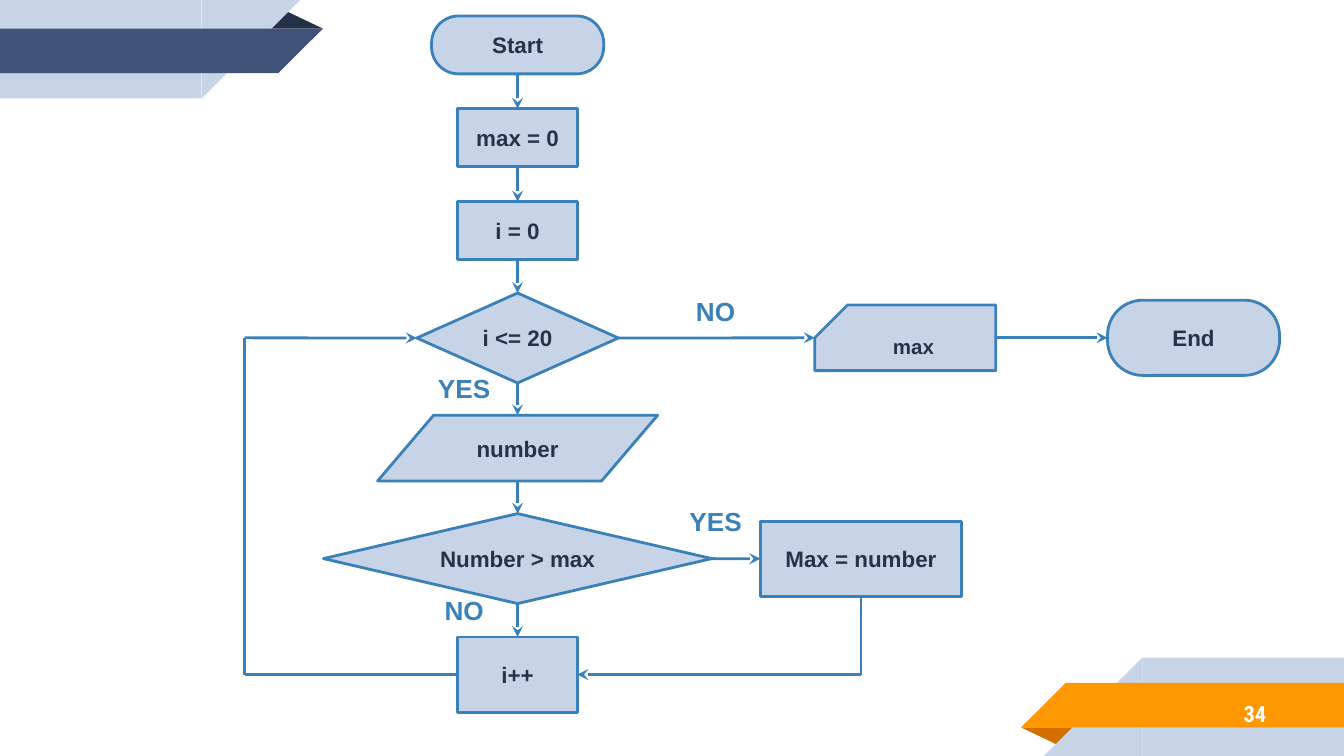
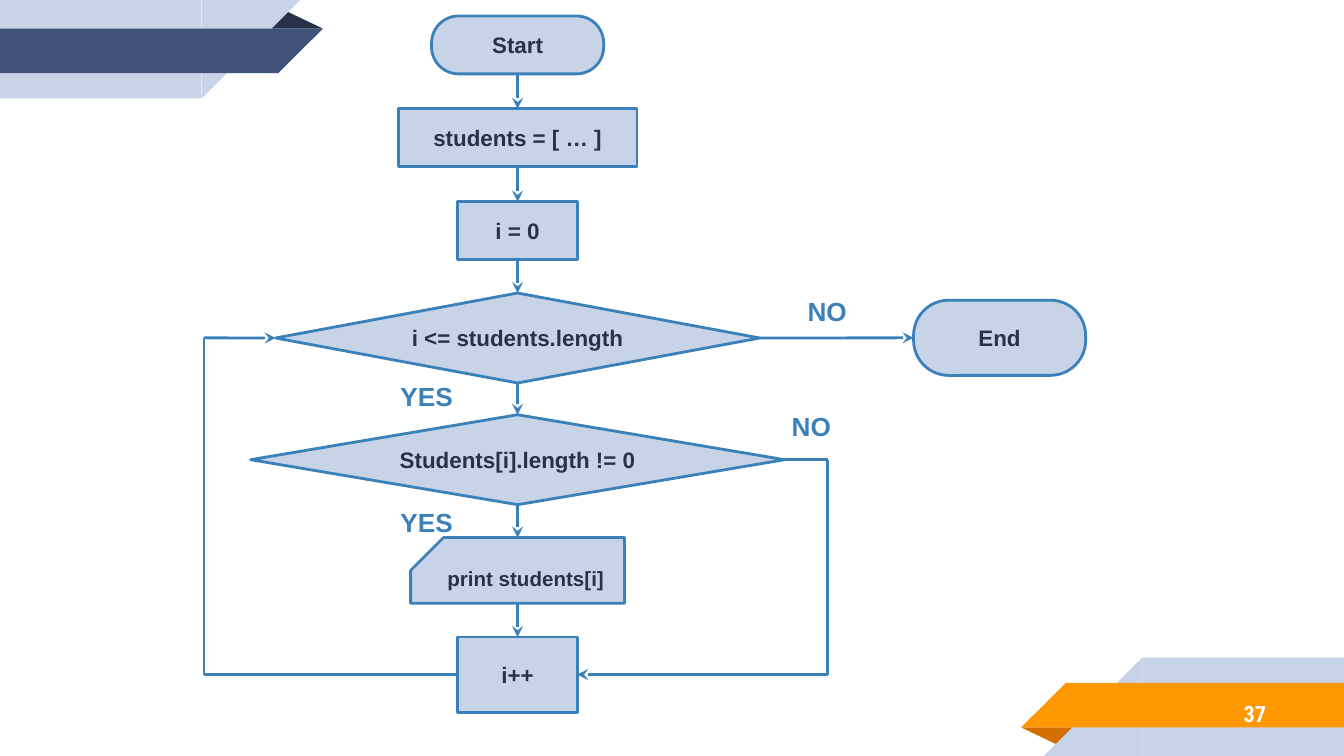
import itertools
from dataclasses import dataclass

import pptx
import pptx.dml.color
import pptx.enum.shapes
import pptx.enum.text
import pptx.oxml.ns
import pptx.util
from lxml import etree

Pt = pptx.util.Pt
SHAPE = pptx.enum.shapes.MSO_SHAPE
ALIGN = pptx.enum.text.PP_ALIGN
ANCHOR = pptx.enum.text.MSO_ANCHOR
qn = pptx.oxml.ns.qn


@dataclass(frozen=True)
class Theme:
    """Colours, fonts and sizes shared by the slides."""
    pale: str = "C7D3E6"
    navy: str = "3F5378"
    ink: str = "263248"
    blue: str = "3A81BA"
    orange: str = "FF9800"
    rust: str = "D26F00"
    white: str = "FFFFFF"
    font: str = "Arial"
    number_font: str = "Roboto Condensed"
    node_size: float = 12
    output_size: float = 11
    label_size: float = 14
    line: float = 1.5


T = Theme()
WIDTH, HEIGHT = 720, 405
AXIS = 277.3          # centre of the main column
LOOP_ROW = 181        # centre of the loop condition
STEP_ROW = 361.4      # centre of the i++ box
BOX_W, BOX_H = 64, 31
TALL_H, DECISION_H, IO_H = 40.3, 48.2, 35.2
TERMINAL_W = 92.2
OUTPUT = SHAPE.SNIP_1_RECTANGLE


def rgb(value):
    """Turn a hex string into a colour."""
    return pptx.dml.color.RGBColor.from_string(value)


def flip(sp):
    """Mirror a shape left to right."""
    sp.element.spPr.find(qn("a:xfrm")).set("flipH", "1")


def write(sp, text, size, color, font=T.font, align=ALIGN.CENTER, anchor=ANCHOR.MIDDLE):
    """Put one bold line of text in a shape."""
    tf = sp.text_frame
    tf.word_wrap = True
    tf.vertical_anchor = anchor
    tf.margin_left = tf.margin_right = tf.margin_top = tf.margin_bottom = Pt(7.2)
    p = tf.paragraphs[0]
    p.text = text
    p.alignment = align
    p.font.name, p.font.size, p.font.bold = font, Pt(size), True
    p.font.color.rgb = rgb(color)


def add_corner(layout, slide, band, fold, turned):
    """Draw the folded corner ribbon and move it to the layout."""
    group = slide.shapes.add_group_shape()
    parts = [
        (SHAPE.ISOSCELES_TRIANGLE, 547, 389.7, 31, 10, fold),
        (SHAPE.RECTANGLE, 612, 352.3, 108, 52.7, T.pale),
        (SHAPE.RIGHT_TRIANGLE, 559.3, 352.3, 52.7, 52.7, T.pale),
        (SHAPE.RECTANGLE, 571, 365.8, 149, 23.9, band),
        (SHAPE.RIGHT_TRIANGLE, 547, 365.8, 24, 23.9, band),
    ]
    for kind, x, y, w, h, color in parts:
        if turned:
            x, y = WIDTH - x - w, HEIGHT - y - h
        sp = group.shapes.add_shape(kind, Pt(x), Pt(y), Pt(w), Pt(h))
        sp.shadow.inherit = False
        sp.fill.solid()
        sp.fill.fore_color.rgb = rgb(color)
        sp.line.fill.background()
        is_fold = kind == SHAPE.ISOSCELES_TRIANGLE
        if is_fold:
            sp.adjustments[0] = 0.324
        else:
            flip(sp)
        sp.rotation = 180 if turned != is_fold else 0
    layout.shapes.element.append(group.element)


def add_node(slide, kind, text, top, w, h, cx=AXIS):
    """Add a flowchart symbol centred on cx."""
    sp = slide.shapes.add_shape(kind, Pt(cx - w / 2), Pt(top), Pt(w), Pt(h))
    sp.shadow.inherit = False
    sp.fill.solid()
    sp.fill.fore_color.rgb = rgb(T.pale)
    sp.line.color.rgb = rgb(T.blue)
    sp.line.width = Pt(T.line)
    size = T.node_size
    if kind == SHAPE.ROUNDED_RECTANGLE:
        sp.adjustments[0] = 0.467
    elif kind == OUTPUT:
        sp.adjustments[0] = 0.5
        flip(sp)
        size = T.output_size
    write(sp, text, size, T.ink)
    return sp


def side(sp, name):
    """Return the middle of one side of a shape, in points."""
    x, y, w, h = (v.pt for v in (sp.left, sp.top, sp.width, sp.height))
    return {"top": (x + w / 2, y), "bottom": (x + w / 2, y + h),
            "left": (x, y + h / 2), "right": (x + w, y + h / 2)}[name]


def add_route(slide, *points):
    """Join points with straight lines, with an arrowhead at the end."""
    for (x1, y1), (x2, y2) in itertools.pairwise(points):
        line = slide.shapes.add_connector(
            pptx.enum.shapes.MSO_CONNECTOR.STRAIGHT, Pt(x1), Pt(y1), Pt(x2), Pt(y2))
        line.line.color.rgb = rgb(T.blue)
        line.line.width = Pt(T.line)
        etree.SubElement(line.element.spPr, qn("a:effectLst"))
    etree.SubElement(line.line._get_or_add_ln(), qn("a:tailEnd"), type="stealth")


def add_column(slide, steps):
    """Stack the main steps and join each one to the next."""
    nodes = [add_node(slide, *step) for step in steps]
    for upper, lower in itertools.pairwise(nodes):
        add_route(slide, side(upper, "bottom"), side(lower, "top"))
    return nodes


def add_across(slide, start, end):
    """Draw an arrow to the symbol on the right."""
    add_route(slide, side(start, "right"), side(end, "left"))


def add_loop(slide, step, condition, x):
    """Lead the flow back from the last step to the loop condition."""
    add_route(slide, side(step, "left"), (x, STEP_ROW), (x, LOOP_ROW),
              side(condition, "left"))


def add_label(slide, text, x, y):
    """Name a branch."""
    box = slide.shapes.add_textbox(Pt(x), Pt(y), Pt(55.4), Pt(29.5))
    write(box, text, T.label_size, T.blue, anchor=ANCHOR.TOP)


def add_number(slide, number):
    """Write the slide number on the orange ribbon."""
    box = slide.shapes.add_textbox(Pt(568), Pt(369.4), Pt(117.4), Pt(25.2))
    write(box, number, T.node_size, T.white, T.number_font, ALIGN.RIGHT)


def start_step():
    """Describe the symbol that opens each chart."""
    return SHAPE.ROUNDED_RECTANGLE, "Start", 8.6, TERMINAL_W, BOX_H


def counter_steps():
    """Describe the first and last counter boxes."""
    return ((SHAPE.RECTANGLE, "i = 0", 108, BOX_W, BOX_H),
            (SHAPE.RECTANGLE, "i++", STEP_ROW - TALL_H / 2, BOX_W, TALL_H))


def add_end(slide, cx):
    """Add the closing symbol on the row of the loop condition."""
    return add_node(slide, SHAPE.ROUNDED_RECTANGLE, "End", LOOP_ROW - TALL_H / 2,
                    TERMINAL_W, TALL_H, cx)


def build_maximum(slide):
    """Chart that finds the largest of the numbers read."""
    add_number(slide, "34")
    first, last = counter_steps()
    *_, condition, _, compare, step = add_column(slide, [
        start_step(),
        (SHAPE.RECTANGLE, "max = 0", 58.3, BOX_W, BOX_H),
        first,
        (SHAPE.FLOWCHART_DECISION, "i <= 20", 157, 108, DECISION_H),
        (SHAPE.FLOWCHART_DATA, "number", 222.5, 150, IO_H),
        (SHAPE.FLOWCHART_DECISION, "Number > max", 275.2, 208, DECISION_H),
        last,
    ])
    output = add_node(slide, OUTPUT, "max", LOOP_ROW - IO_H / 2, 97, IO_H, 485)
    end = add_end(slide, 639.4)
    update = add_node(slide, SHAPE.RECTANGLE, "Max = number", 279.2, 108, TALL_H, 461.3)
    add_across(slide, condition, output)
    add_across(slide, output, end)
    add_across(slide, compare, update)
    add_route(slide, side(update, "bottom"), (461.3, STEP_ROW), side(step, "right"))
    add_loop(slide, step, condition, 131)
    for text, x, y in [("YES", 221, 192.5), ("YES", 355.7, 263.7),
                       ("NO", 355.7, 151.2), ("NO", 221, 311.2)]:
        add_label(slide, text, x, y)


def build_students(slide):
    """Chart that prints the students whose entry is not empty."""
    add_number(slide, "37")
    first, last = counter_steps()
    *_, condition, check, _, step = add_column(slide, [
        start_step(),
        (SHAPE.RECTANGLE, "students = [ … ]", 58.3, 2 * BOX_W, BOX_H),
        first,
        (SHAPE.FLOWCHART_DECISION, "i <= students.length", 157, 259.4, DECISION_H),
        (SHAPE.FLOWCHART_DECISION, "Students[i].length != 0", 222.2, 286, DECISION_H),
        (OUTPUT, "print students[i]", 288, 114.6, IO_H),
        last,
    ])
    add_across(slide, condition, add_end(slide, 535.5))
    skip_x = 443.5
    add_route(slide, side(check, "right"), (skip_x, side(check, "right")[1]),
              (skip_x, STEP_ROW), side(step, "right"))
    add_loop(slide, step, condition, 109.3)
    for text, x, y in [("YES", 200.9, 196.6), ("YES", 200.9, 264.2),
                       ("NO", 415.5, 151.2), ("NO", 407, 212.6)]:
        add_label(slide, text, x, y)


def main():
    """Build and save the presentation."""
    prs = pptx.Presentation()
    prs.slide_width, prs.slide_height = Pt(WIDTH), Pt(HEIGHT)
    layout = prs.slide_layouts[6]
    slides = [prs.slides.add_slide(layout) for _ in range(2)]
    add_corner(layout, slides[0], T.orange, T.rust, turned=False)
    add_corner(layout, slides[0], T.navy, T.ink, turned=True)
    for slide, build in zip(slides, (build_maximum, build_students)):
        build(slide)
    prs.save("out.pptx")


main()
